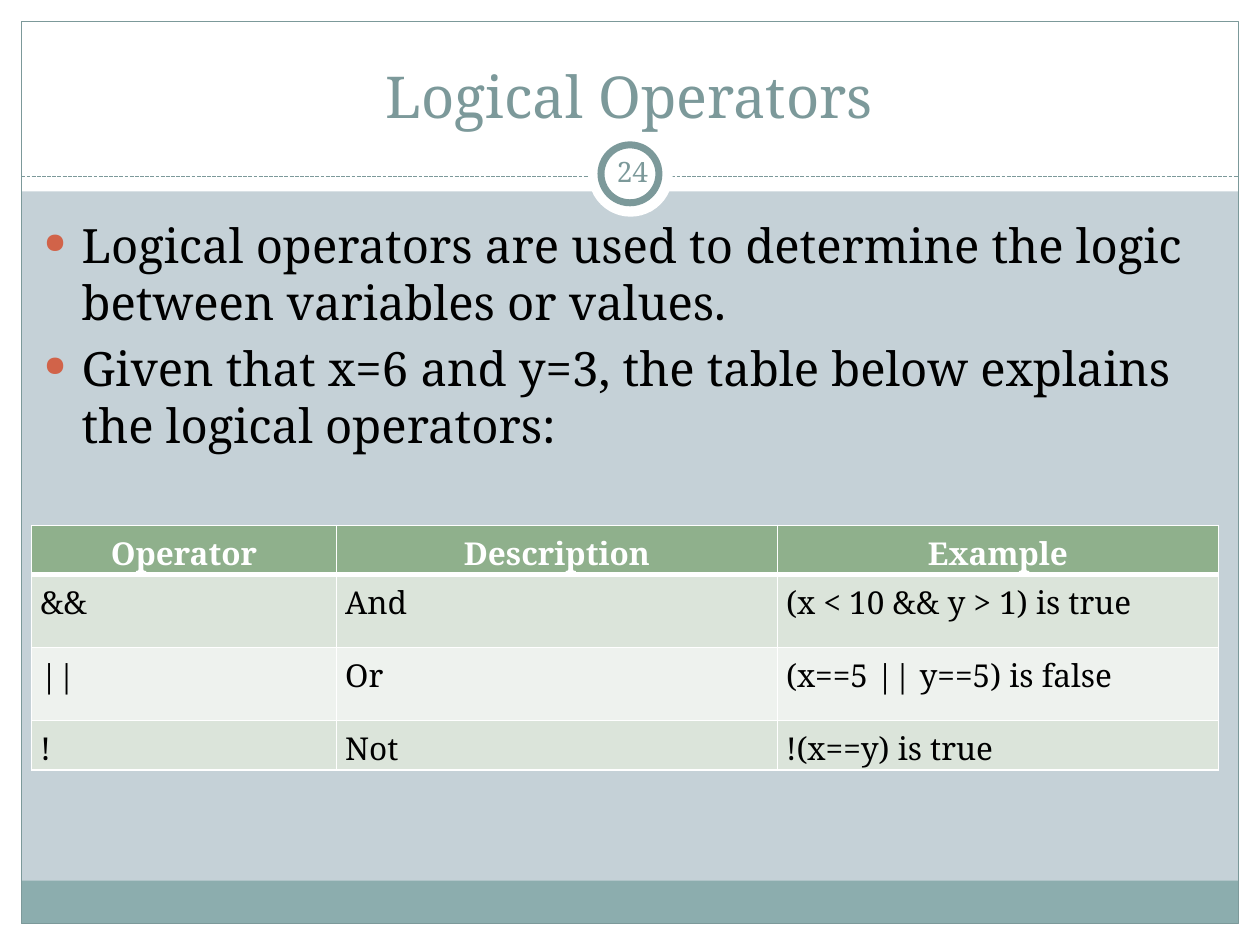
from lxml.etree import SubElement
from pptx import Presentation
from pptx.dml.color import RGBColor
from pptx.enum.dml import MSO_LINE
from pptx.enum.shapes import MSO_CONNECTOR, MSO_SHAPE
from pptx.enum.text import MSO_ANCHOR, PP_ALIGN
from pptx.oxml.ns import qn
from pptx.util import Inches, Pt

FONT = "Noto Serif"
COLORS = {
    "background": "C5D1D7", "white": "FFFFFF", "black": "000000",
    "accent": "7C999A", "footer": "8CADAE", "bullet": "D16349",
    "header": "8FB08C", "odd": "DBE4DA", "even": "EEF2EE",
}


def add_panel(kind, left, top, width, height, fill=None, line_width=None):
    """Add a preset shape with an optional fill and accent outline."""
    shape = page.shapes.add_shape(
        kind, Inches(left), Inches(top), Inches(width), Inches(height))
    shape.shadow.inherit = False
    if fill:
        shape.fill.solid()
        shape.fill.fore_color.rgb = RGBColor.from_string(COLORS[fill])
    else:
        shape.fill.background()
    if line_width:
        shape.line.color.rgb = RGBColor.from_string(COLORS["accent"])
        shape.line.width = Pt(line_width)
    else:
        shape.line.fill.background()


def write_lines(frame, lines, size, color, align, bold=False):
    """Fill a text frame with one styled paragraph per line."""
    frame.word_wrap = True
    for index, line in enumerate(lines):
        para = frame.paragraphs[0] if index == 0 else frame.add_paragraph()
        para.text = line
        para.alignment = align
        para.font.name = FONT
        para.font.size = Pt(size)
        para.font.bold = bold
        para.font.color.rgb = RGBColor.from_string(COLORS[color])


deck = Presentation()
deck.slide_width, deck.slide_height = Inches(10), Inches(7.5)
page = deck.slides.add_slide(deck.slide_layouts[6])
page.background.fill.solid()
page.background.fill.fore_color.rgb = RGBColor.from_string(COLORS["background"])

# Frame, footer band and divider
for left, top, width, height in [
        (0, 7.33, 10, 0.17), (0, 0, 10, 1.52), (0, 0, 0.17, 7.5), (9.83, 0, 0.17, 7.5)]:
    add_panel(MSO_SHAPE.RECTANGLE, left, top, width, height, "white")
add_panel(MSO_SHAPE.RECTANGLE, 0.17, 6.99, 9.66, 0.34, "footer")
add_panel(MSO_SHAPE.RECTANGLE, 0.17, 0.17, 9.66, 7.16, line_width=0.75)

divider = page.shapes.add_connector(
    MSO_CONNECTOR.STRAIGHT, Inches(0.17), Inches(1.4), Inches(9.83), Inches(1.4))
divider.line.color.rgb = RGBColor.from_string(COLORS["accent"])
divider.line.width = Pt(0.75)
divider.line.dash_style = MSO_LINE.SQUARE_DOT
SubElement(divider.element.spPr, qn("a:effectLst"))

add_panel(MSO_SHAPE.OVAL, 4.67, 1.05, 0.67, 0.67, "white")
add_panel(MSO_SHAPE.OVAL, 4.77, 1.15, 0.46, 0.46, "white", 4)

# Title, body and page number
title = page.shapes.add_textbox(Inches(0.33), Inches(0.25), Inches(9.33), Inches(0.83))
title.text_frame.vertical_anchor = MSO_ANCHOR.BOTTOM
write_lines(title.text_frame, ["Logical Operators"], 33, "accent", PP_ALIGN.CENTER)

body = page.shapes.add_textbox(Inches(0.25), Inches(1.67), Inches(9.58), Inches(5.33))
write_lines(body.text_frame, [
    "Logical operators are used to determine the logic between variables or values.",
    "Given that x=6 and y=3, the table below explains the logical operators:",
], 27, "black", PP_ALIGN.LEFT)
for para in body.text_frame.paragraphs:
    para.line_spacing = 1.0
    para.space_before = Pt(5.4)
    props = para._p.get_or_add_pPr()
    props.set("marL", str(Inches(0.3)))
    props.set("indent", str(-Inches(0.3)))
    bullet_color = SubElement(props, qn("a:buClr"))
    SubElement(bullet_color, qn("a:srgbClr"), val=COLORS["bullet"])
    SubElement(props, qn("a:buSzPct"), val="60000")
    SubElement(props, qn("a:buChar"), char="●")
    # The schema wants the default run properties after the bullet.
    props.append(props.find(qn("a:defRPr")))

number = page.shapes.add_textbox(Inches(4.77), Inches(1.12), Inches(0.5), Inches(0.48))
frame = number.text_frame
frame.vertical_anchor = MSO_ANCHOR.MIDDLE
frame.margin_left = frame.margin_right = Inches(0.05)
write_lines(frame, ["24"], 16, "accent", PP_ALIGN.CENTER)

# Operator table
rows = [
    ("Operator", "Description", "Example"),
    ("&&", "And", "(x < 10 && y > 1) is true"),
    ("||", "Or", "(x==5 || y==5) is false"),
    ("!", "Not", "!(x==y) is true"),
]
row_heights = (0.39, 0.58, 0.58, 0.39)
table = page.shapes.add_table(
    len(rows), 3, Inches(0.25), Inches(4.17), Inches(9.42),
    Inches(sum(row_heights))).table
for column, width in zip(table.columns, (2.42, 3.5, 3.5)):
    column.width = Inches(width)
for row, height in zip(table.rows, row_heights):
    row.height = Inches(height)

for row_index, texts in enumerate(rows):
    is_header = row_index == 0
    fill = "header" if is_header else "odd" if row_index % 2 else "even"
    for column_index, text in enumerate(texts):
        cell = table.cell(row_index, column_index)
        cell.margin_left = cell.margin_right = Inches(0.07)
        cell.margin_top = cell.margin_bottom = 0
        write_lines(cell.text_frame, [text], 18, "white" if is_header else "black",
                    PP_ALIGN.CENTER if is_header else PP_ALIGN.JUSTIFY, is_header)
        cell.text_frame.paragraphs[0].line_spacing = 1.15
        props = cell._tc.get_or_add_tcPr()
        for side in ("L", "R", "T", "B"):
            thick = (is_header and side == "B") or (row_index == 1 and side == "T")
            border = SubElement(props, qn(f"a:ln{side}"), w=str(Pt(3 if thick else 1)))
            border_fill = SubElement(border, qn("a:solidFill"))
            SubElement(border_fill, qn("a:srgbClr"), val=COLORS["white"])
        cell.fill.solid()
        cell.fill.fore_color.rgb = RGBColor.from_string(COLORS[fill])

deck.save("out.pptx")
